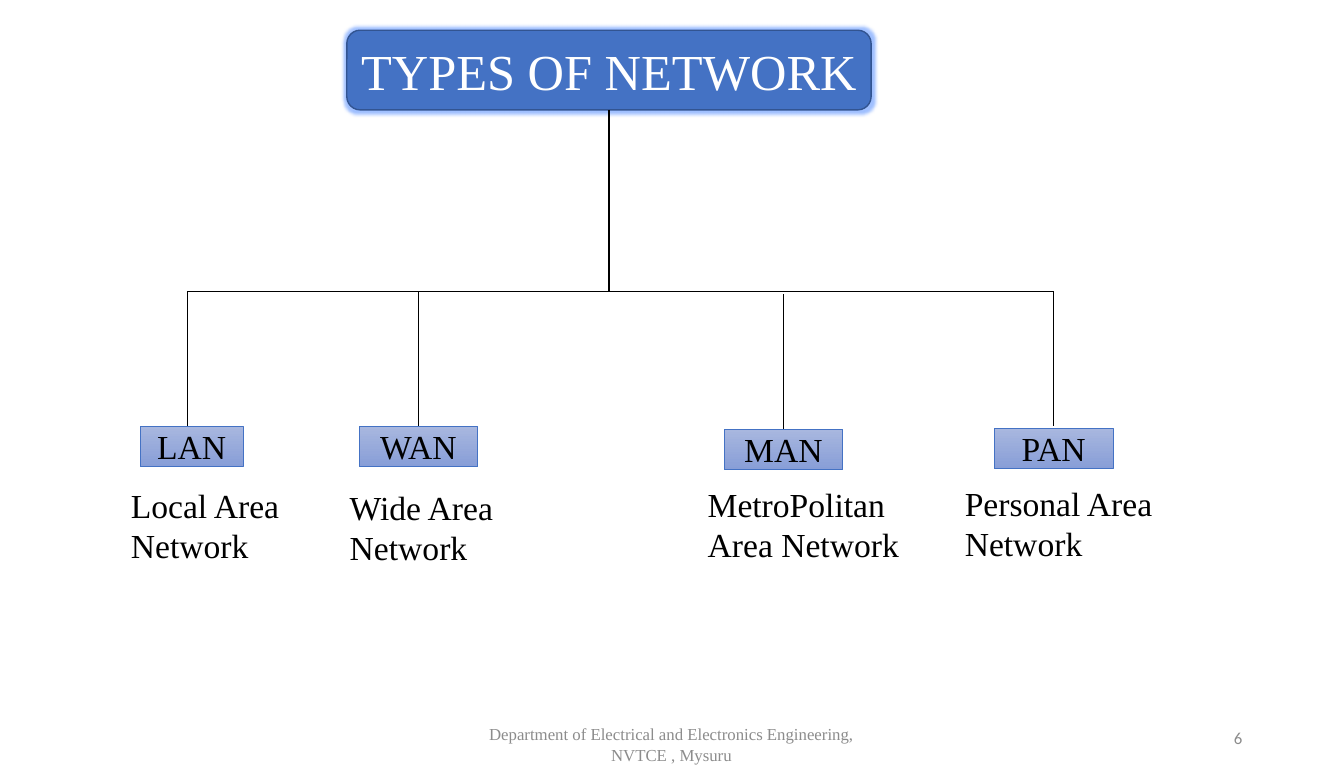
from dataclasses import dataclass

from lxml.etree import SubElement
from pptx import Presentation
from pptx.dml.color import RGBColor as RGB
from pptx.enum.shapes import MSO_CONNECTOR as CONN, MSO_SHAPE as SHAPE
from pptx.enum.text import MSO_ANCHOR as ANCHOR, MSO_AUTO_SIZE as AUTO, PP_ALIGN as ALIGN
from pptx.oxml.ns import qn
from pptx.util import Inches, Pt


@dataclass(frozen=True)
class Theme:
    serif: str = "Times New Roman"
    sans: str = "Calibri"
    title_size: int = 36
    body_size: int = 24
    small_size: int = 12
    ink: str = "000000"
    paper: str = "FFFFFF"
    muted: str = "8C8C8C"
    accent: str = "4472C4"
    accent_dark: str = "325491"
    glow: str = "A0C0FF"
    grad: tuple = ("A8B7DF", "889ED7")


THEME = Theme()
TITLE = "TYPES OF NETWORK"
FOOTER = "Department of Electrical and Electronics Engineering, NVTCE , Mysuru"
PAGE = "6"
NETWORKS = [
    dict(tag="LAN", name="Local Area Network", stem=1.86, top=2.89,
         box=(1.39, 4.23, 1.02), label=(1.2, 4.76, 1.73)),
    dict(tag="WAN", name="Wide Area Network", stem=4.15, top=2.89,
         box=(3.56, 4.23, 1.18), label=(3.37, 4.78, 2.05)),
    dict(tag="MAN", name="MetroPolitan Area Network", stem=7.77, top=2.92,
         box=(7.18, 4.26, 1.18), label=(6.92, 4.75, 2.18)),
    dict(tag="PAN", name="Personal Area Network", stem=10.45, top=2.89,
         box=(9.86, 4.25, 1.18), label=(9.47, 4.74, 2.08)),
]
TITLE_BOX = (3.44, 0.3, 5.2, 0.79)
FOOTER_BOX = (4.55, 7.18, 4.22, 0.41)
PAGE_BOX = (9.42, 7.12, 3, 0.41)
TAG_H, LABEL_H = 0.4, 0.91
RAIL_Y, STEM_H = 2.89, 1.34


def write(sp, text, size=THEME.body_size, font=THEME.serif, color=THEME.ink,
          align=ALIGN.LEFT, anchor=ANCHOR.TOP):
    tf = sp.text_frame
    tf.word_wrap = True
    tf.auto_size = AUTO.NONE
    tf.vertical_anchor = anchor
    p = tf.paragraphs[0]
    p.alignment = align
    r = p.add_run()
    r.text = text
    r.font.size = Pt(size)
    r.font.name = font
    r.font.color.rgb = RGB.from_string(color)


def add_box(s, kind, box, line, width):
    sp = s.shapes.add_shape(kind, *map(Inches, box))
    sp.shadow.inherit = False
    sp.line.color.rgb = RGB.from_string(line)
    sp.line.width = Pt(width)
    return sp


def add_text(s, box, text, **fmt):
    write(s.shapes.add_textbox(*map(Inches, box)), text, **fmt)


def add_line(s, *ends):
    c = s.shapes.add_connector(CONN.STRAIGHT, *map(Inches, ends))
    c.line.color.rgb = RGB.from_string(THEME.ink)
    c.line.width = Pt(1)
    SubElement(c._element.spPr, qn("a:effectLst"))


def add_title(s):
    sp = add_box(s, SHAPE.ROUNDED_RECTANGLE, TITLE_BOX, THEME.accent_dark, 1)
    sp.fill.solid()
    sp.fill.fore_color.rgb = RGB.from_string(THEME.accent)
    effects = sp._element.spPr.find(qn("a:effectLst"))
    glow = SubElement(effects, qn("a:glow"), rad=str(Pt(5)))
    SubElement(glow, qn("a:srgbClr"), val=THEME.glow)
    title = s.shapes.title
    title.left, title.top, title.width, title.height = map(Inches, TITLE_BOX)
    s.shapes._spTree.append(title._element)
    write(title, TITLE, size=THEME.title_size, color=THEME.paper,
          align=ALIGN.CENTER, anchor=ANCHOR.MIDDLE)
    title.text_frame.margin_left = title.text_frame.margin_right = 0


def add_network(s, tag, name, stem, top, box, label):
    add_line(s, stem, top, stem, top + STEM_H)
    sp = add_box(s, SHAPE.RECTANGLE, (*box, TAG_H), THEME.accent, 0.5)
    sp.fill.gradient()
    sp.fill.gradient_angle = 270
    for stop, color in zip(sp.fill.gradient_stops, THEME.grad):
        stop.color.rgb = RGB.from_string(color)
    write(sp, tag, align=ALIGN.CENTER, anchor=ANCHOR.MIDDLE)
    add_text(s, (*label, LABEL_H), name)


def main():
    prs = Presentation()
    prs.slide_width, prs.slide_height = Inches(13.33), Inches(7.68)
    s = prs.slides.add_slide(prs.slide_layouts[5])
    add_title(s)
    left, top, width, height = TITLE_BOX
    trunk = left + width / 2
    add_line(s, trunk, top + height, trunk, RAIL_Y)
    add_line(s, NETWORKS[0]["stem"], RAIL_Y, NETWORKS[-1]["stem"], RAIL_Y)
    for network in NETWORKS:
        add_network(s, **network)
    small = dict(size=THEME.small_size, color=THEME.muted, anchor=ANCHOR.MIDDLE)
    add_text(s, FOOTER_BOX, FOOTER, align=ALIGN.CENTER, **small)
    add_text(s, PAGE_BOX, PAGE, font=THEME.sans, align=ALIGN.RIGHT, **small)
    prs.save("out.pptx")


if __name__ == "__main__":
    main()
